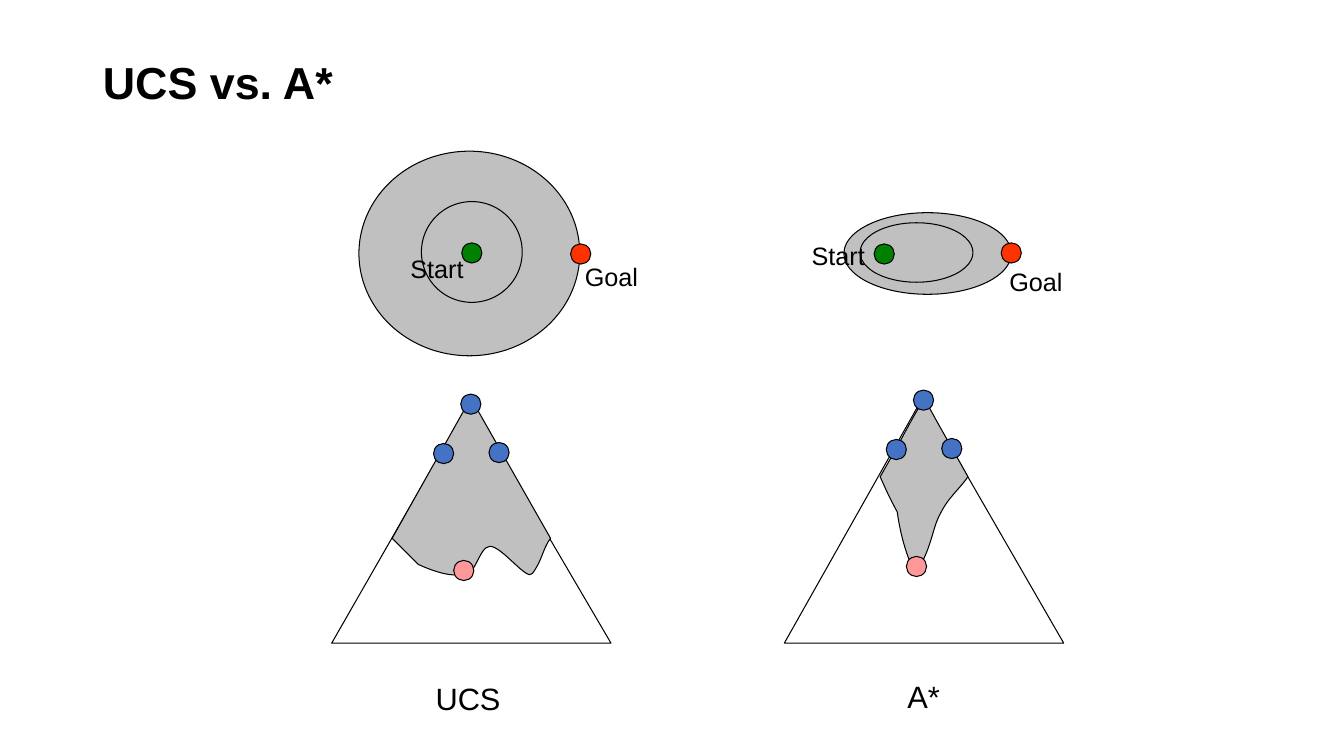
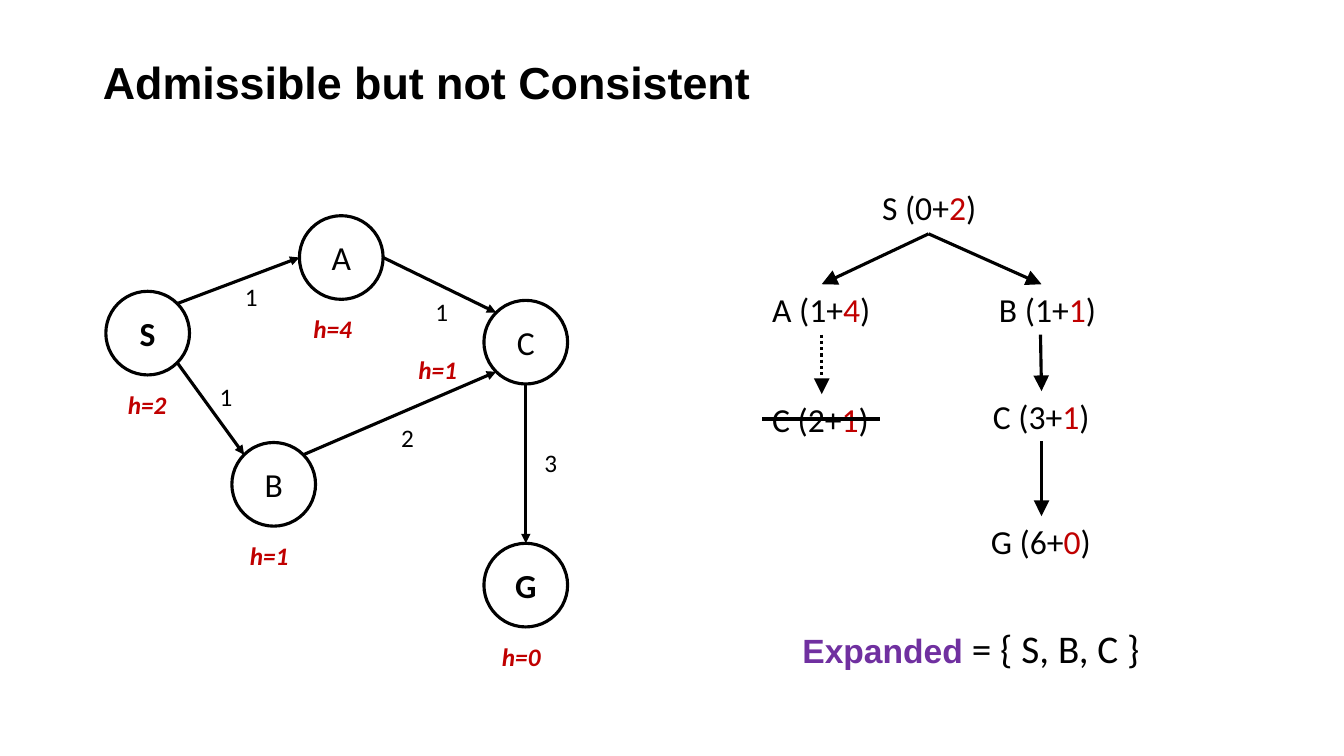
import math

import pptx
import pptx.dml.color
import pptx.enum.dml
import pptx.enum.shapes
import pptx.enum.text
import pptx.oxml.ns
import pptx.util
from lxml import etree

Inches = pptx.util.Inches
Pt = pptx.util.Pt
qn = pptx.oxml.ns.qn
BLACK, WHITE, GRAY = "000000", "FFFFFF", "C0C0C0"
BLUE, PINK, GREEN, ORANGE = "4472C4", "FF9999", "008000", "FF3300"
RED, PURPLE = "C00000", "7030A0"
DOT = 0.2
NODE = 0.83


def color(code):
    return pptx.dml.color.RGBColor.from_string(code)


def style(font, size, name, code=BLACK, bold=False, slant=False):
    font.size, font.name, font.bold, font.italic = Pt(size), name, bold, slant
    font.color.rgb = color(code)


def paint(shape, fill=None, width=0.75):
    shape.shadow.inherit = False
    if fill:
        shape.fill.solid()
        shape.fill.fore_color.rgb = color(fill)
    else:
        shape.fill.background()
    shape.line.color.rgb = color(BLACK)
    shape.line.width = Pt(width)


def start(deck, words):
    slide = deck.slides.add_slide(deck.slide_layouts[5])
    title = slide.shapes.title
    title.left, title.top = Inches(0.92), Inches(0.4)
    title.width, title.height = Inches(11.5), Inches(0.89)
    frame = title.text_frame
    frame.text = words
    frame.auto_size = pptx.enum.text.MSO_AUTO_SIZE.NONE
    frame.vertical_anchor = pptx.enum.text.MSO_ANCHOR.MIDDLE
    line = frame.paragraphs[0]
    line.alignment = pptx.enum.text.PP_ALIGN.LEFT
    line.line_spacing = 0.9
    style(line.font, 32, "Arial", bold=True)
    return slide


def oval(slide, x, y, w, h, fill=None, width=0.75):
    kind = pptx.enum.shapes.MSO_SHAPE.OVAL
    shape = slide.shapes.add_shape(kind, Inches(x), Inches(y), Inches(w), Inches(h))
    paint(shape, fill, width)
    return shape


def dot(slide, x, y, fill):
    oval(slide, x, y, DOT, DOT, fill)


def text(slide, x, y, w, h, wrap=False):
    box = slide.shapes.add_textbox(Inches(x), Inches(y), Inches(w), Inches(h))
    frame = box.text_frame
    frame.word_wrap = wrap
    return frame


def label(slide, x, y, words, size=18):
    frame = text(slide, x, y, 1.05, 0.38 if size == 18 else 0.45, True)
    frame.margin_left = frame.margin_right = Inches(0.07)
    frame.margin_top = frame.margin_bottom = Inches(0.04)
    frame.text = words
    style(frame.paragraphs[0].font, size, "Arial")


def bend(shape, step, part):
    curve = etree.Element(qn("a:cubicBezTo"))
    for x, y in zip(part[::2], part[1::2]):
        spot = Inches(x) - shape.left, Inches(y) - shape.top
        etree.SubElement(curve, qn("a:pt"), x=str(spot[0]), y=str(spot[1]))
    step.getparent().replace(step, curve)


def outline(slide, first, parts, fill=None):
    form = slide.shapes.build_freeform(*map(Inches, first), scale=1.0)
    ends = [tuple(map(Inches, part[-2:])) for part in parts]
    form.add_line_segments(ends, close=True)
    shape = form.convert_to_shape()
    paint(shape, fill)
    steps = list(shape._element.iter(qn("a:lnTo")))
    for step, part in zip(steps, parts):
        if len(part) == 6:
            bend(shape, step, part)


def tree(slide, x, top, first, parts):
    outline(slide, (x, 6.38), [(x + 2.77, 6.38), (x + 1.37, top), (x, 6.38)])
    outline(slide, first, parts, GRAY)
    for dx, y, fill in [
        (1.01, 4.4, BLUE), (1.56, 4.39, BLUE), (1.21, 5.56, PINK), (1.28, 3.91, BLUE),
    ]:
        dot(slide, x + dx, y + top - 3.99, fill)


def search(slide, outer, inner, begin, goal, near, far):
    oval(slide, *outer, GRAY)
    dot(slide, *begin, GREEN)
    label(slide, *near, "Start")
    dot(slide, *goal, ORANGE)
    label(slide, *far, "Goal")
    oval(slide, *inner)


def node(slide, x, y, name):
    shape = oval(slide, x, y, NODE, NODE, WHITE, 2.25)
    frame = shape.text_frame
    frame.text = name
    frame.vertical_anchor = pptx.enum.text.MSO_ANCHOR.MIDDLE
    line = frame.paragraphs[0]
    line.alignment = pptx.enum.text.PP_ALIGN.CENTER
    style(line.font, 24, "Calibri", bold=name in "SG")


def rim(spot, angle):
    turn = math.radians(angle)
    half = NODE / 2
    return spot[0] + half * (1 + math.cos(turn)), spot[1] + half * (1 + math.sin(turn))


def link(slide, a, b, head="lg", width=2.25, dash=None):
    kind = pptx.enum.shapes.MSO_CONNECTOR.STRAIGHT
    line = slide.shapes.add_connector(kind, *map(Inches, (*a, *b)))
    line.line.color.rgb = color(BLACK)
    line.line.width = Pt(width)
    if dash:
        line.line.dash_style = dash
    props = line._element.spPr
    if head:
        etree.SubElement(
            props.find(qn("a:ln")), qn("a:tailEnd"), type="triangle", w=head, len=head
        )
    etree.SubElement(props, qn("a:effectLst"))


def state(slide, x, y, name, cost, guess):
    line = text(slide, x, y, 1.2, 0.5).paragraphs[0]
    style(line.font, 24, "Calibri")
    for words, code in [(f"{name} ({cost}+", BLACK), (guess, RED), (")", BLACK)]:
        run = line.add_run()
        run.text = words
        run.font.color.rgb = color(code)


def compare(deck):
    slide = start(deck, "UCS vs. A*")
    tree(slide, 3.29, 3.99, (4.67, 3.95), [
        (3.89, 5.34), (4.15, 5.6),
        (4.15, 5.6, 4.46, 5.75, 4.59, 5.69),
        (4.71, 5.75, 4.75, 5.42, 4.86, 5.42),
        (4.98, 5.42, 5.23, 5.77, 5.28, 5.69),
        (5.38, 5.56, 5.38, 5.45, 5.46, 5.34),
        (4.67, 3.95),
    ])
    tree(slide, 7.78, 3.95, (9.17, 3.95), [
        (9.01, 4.21, 9, 4.26, 8.73, 4.73),
        (8.81, 4.91, 8.83, 4.95, 8.9, 5.08),
        (8.9, 5.08, 8.94, 5.43, 9.08, 5.69),
        (9.25, 5.43, 9.24, 5.25, 9.33, 5.09),
        (9.41, 4.93, 9.52, 4.85, 9.6, 4.73),
        (9.34, 4.26, 9.27, 4.15, 9.17, 3.95),
    ])
    search(slide, (3.56, 1.5, 2.19, 2.03), (4.18, 2, 1, 1),
           (4.58, 2.41), (5.66, 2.42), (4, 2.47), (5.73, 2.55))
    search(slide, (8.37, 2.11, 1.66, 0.81), (8.53, 2.21, 1.12, 0.59),
           (8.67, 2.42), (9.93, 2.41), (7.98, 2.34), (9.94, 2.6))
    label(slide, 4.25, 6.7, "UCS", 22)
    label(slide, 8.93, 6.68, "A*", 22)


def graph(slide):
    nodes = {
        "S": (1.05, 2.89), "A": (2.97, 2.14), "B": (2.3, 4.39),
        "C": (4.8, 2.98), "G": (4.8, 5.39),
    }
    for name, spot in nodes.items():
        node(slide, *spot, name)
    for a, out, b, into, cost, x, y in [
        ("S", -45, "A", 180, "1", 2.33, 2.74),
        ("S", 45, "B", 225, "1", 2.08, 3.73),
        ("B", -45, "C", 135, "2", 3.88, 4.14),
        ("A", 0, "C", 225, "1", 4.22, 2.89),
        ("C", 90, "G", 270, "3", 5.3, 4.39),
    ]:
        link(slide, rim(nodes[a], out), rim(nodes[b], into), "med")
        frame = text(slide, x, y, 0.33, 0.4)
        frame.text = cost
        style(frame.paragraphs[0].font, 18, "Calibri")
    for x, y, guess in [
        (1.17, 3.81, 2), (2.38, 5.31, 1), (3.01, 3.06, 4), (4.05, 3.47, 1), (4.88, 6.31, 0),
    ]:
        frame = text(slide, x, y, 0.59, 0.4)
        frame.text = f"h={guess}"
        style(frame.paragraphs[0].font, 18, "Calibri", RED, True, True)


def trace(slide):
    for item in [
        (8.65, 1.81, "S", 0, "2"), (7.56, 2.82, "A", 1, "4"), (9.81, 2.82, "B", 1, "1"),
        (9.75, 3.88, "C", 3, "1"), (9.73, 5.12, "G", 6, "0"), (7.56, 3.91, "C", 2, "1"),
    ]:
        state(slide, *item)
    for a, b in [
        ((9.21, 2.32), (10.33, 2.82)), ((9.21, 2.32), (8.15, 2.82)),
        ((10.32, 3.32), (10.33, 3.88)), ((10.33, 4.38), (10.33, 5.12)),
    ]:
        link(slide, a, b)
    dots = pptx.enum.dml.MSO_LINE.ROUND_DOT
    link(slide, (8.15, 3.32), (8.15, 3.91), dash=dots)
    link(slide, (7.56, 4.16), (8.73, 4.16), None, 3)


def expand(deck):
    slide = start(deck, "Admissible but not Consistent")
    graph(slide)
    trace(slide)
    line = text(slide, 7.86, 6.14, 3.99, 0.57, True).paragraphs[0]
    word, rest = line.add_run(), line.add_run()
    word.text, rest.text = "Expanded", " = { S, B, C }"
    style(word.font, 24, "Arial", PURPLE, True)
    style(rest.font, 28, "Calibri")


def main():
    deck = pptx.Presentation()
    deck.slide_width, deck.slide_height = Inches(13.33), Inches(7.5)
    compare(deck)
    expand(deck)
    deck.save("out.pptx")


if __name__ == "__main__":
    main()
